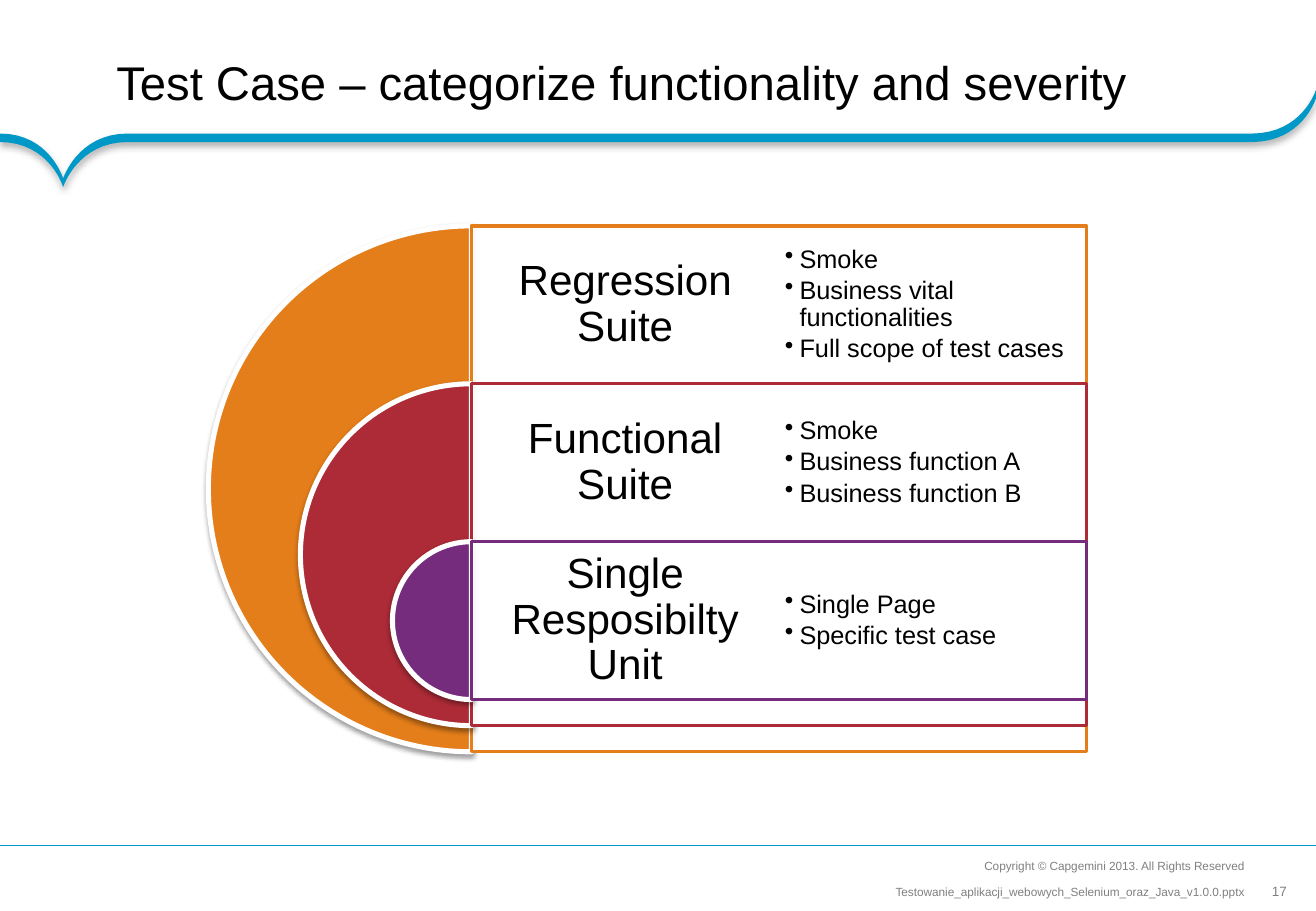
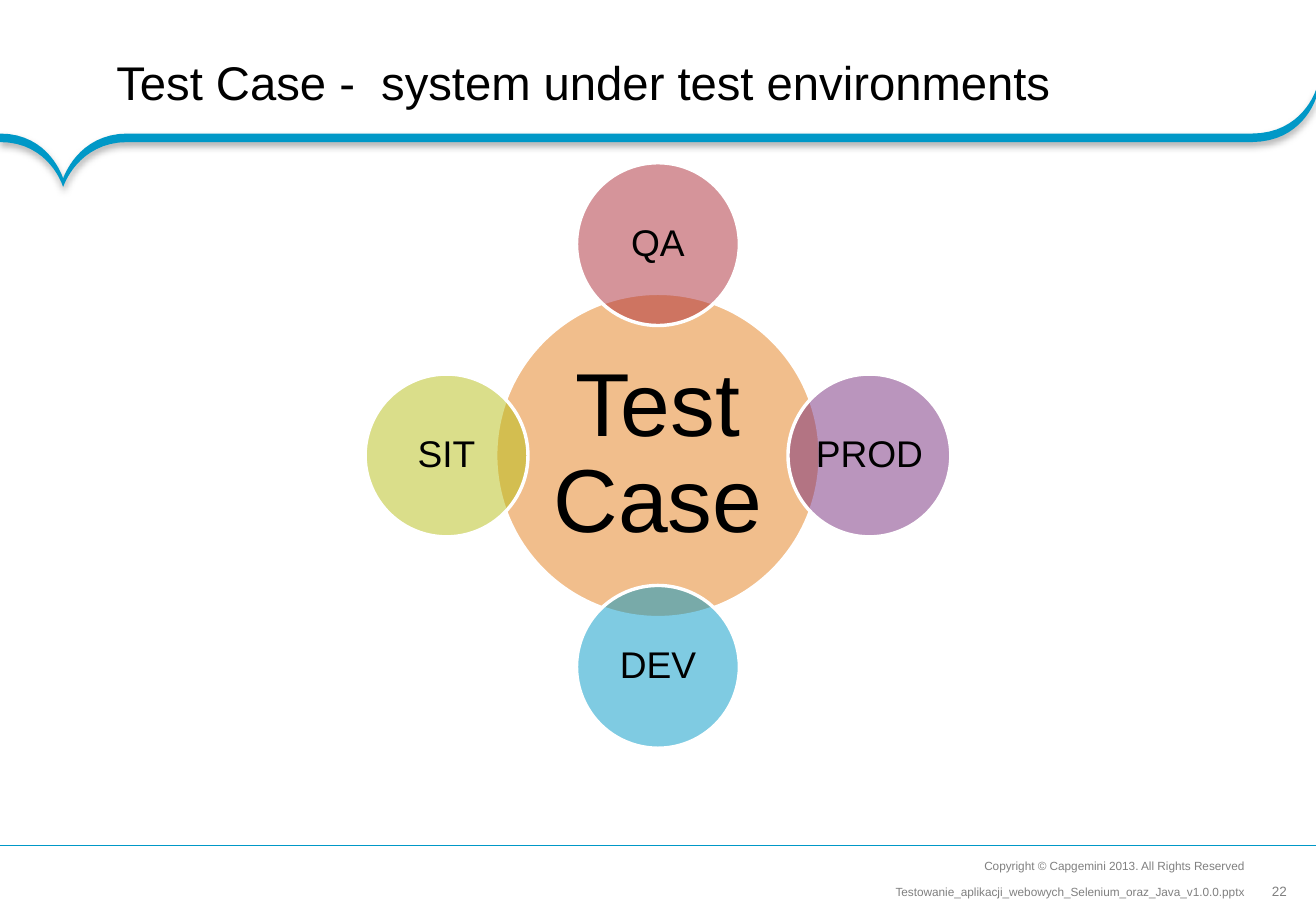
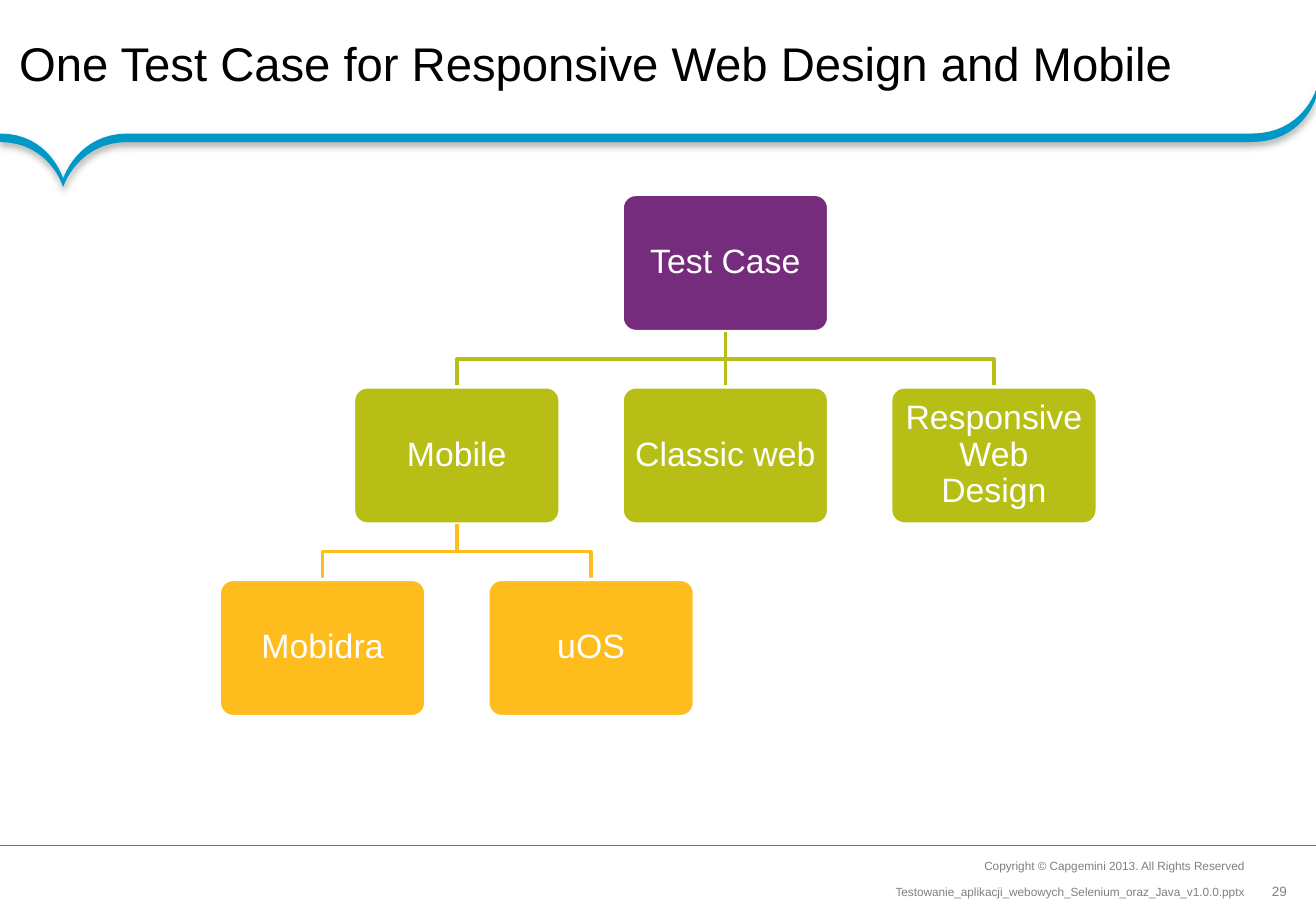
import lxml.etree
import pptx
import pptx.dml.color
import pptx.enum.shapes
import pptx.enum.text
import pptx.oxml.ns
import pptx.util

Inches, Pt = pptx.util.Inches, pptx.util.Pt
qn = pptx.oxml.ns.qn
SHAPE = pptx.enum.shapes.MSO_SHAPE
STRAIGHT = pptx.enum.shapes.MSO_CONNECTOR.STRAIGHT
ALIGN, ANCHOR = pptx.enum.text.PP_ALIGN, pptx.enum.text.MSO_ANCHOR
rgb = pptx.dml.color.RGBColor.from_string

BLUE, ORANGE, RED, PURPLE = "0098C7", "E47E1A", "AC2B37", "762C7C"
GREEN, YELLOW, WHITE, BLACK, GREY = "B7BE16", "FFBC1D", "FFFFFF", "000000", "808080"


def paint(shape, fill=None, line=None, width=2, opacity=100, shadow=None):
    """Set fill, line and shadow; shadow is (opacity %, blur pt, distance pt)."""
    properties = shape._element.spPr
    if fill:
        shape.fill.solid()
        shape.fill.fore_color.rgb = rgb(fill)
        if opacity < 100:
            colour = properties.find(qn("a:solidFill"))[0]
            lxml.etree.SubElement(colour, qn("a:alpha"), val=str(opacity * 1000))
    if line:
        shape.line.color.rgb = rgb(line)
        shape.line.width = Pt(width)
    else:
        shape.line.fill.background()
    effects = lxml.etree.SubElement(properties, qn("a:effectLst"))
    if shadow:
        strength, blur, distance = shadow
        outer = lxml.etree.SubElement(
            effects, qn("a:outerShdw"), blurRad=str(Pt(blur)),
            dist=str(Pt(distance)), dir="5400000", rotWithShape="0")
        colour = lxml.etree.SubElement(outer, qn("a:srgbClr"), val=BLACK)
        lxml.etree.SubElement(colour, qn("a:alpha"), val=str(strength * 1000))


def write(shape, lines, size, colour=BLACK, align=ALIGN.CENTER,
          anchor=ANCHOR.MIDDLE, inset=0.1, bullets=False, wrap=True):
    frame = shape.text_frame
    frame.word_wrap = wrap
    frame.vertical_anchor = anchor
    frame.margin_left = frame.margin_right = Inches(inset)
    frame.margin_top = frame.margin_bottom = Inches(inset)
    for number, line in enumerate(lines):
        paragraph = frame.add_paragraph() if number else frame.paragraphs[0]
        paragraph.text = line
        paragraph.alignment = align
        paragraph.line_spacing = 0.9
        if bullets:
            paragraph.space_after = Pt(2.25)
            layout = paragraph._p.get_or_add_pPr()
            layout.set("marL", str(Inches(0.12)))
            layout.set("indent", str(-Inches(0.12)))
            lxml.etree.SubElement(layout, qn("a:buChar"), char="•")
        paragraph.font.name = "Arial"
        paragraph.font.size = Pt(size)
        paragraph.font.color.rgb = rgb(colour)


deck = pptx.Presentation()
deck.slide_width, deck.slide_height = Inches(10.83), Inches(7.5)

# Upper edge of the title band, sampled from three cubic curves
band_curves = [
    [(0, 1.1), (0.41, 1.1), (0.52, 1.47), (0.52, 1.47)],
    [(0.52, 1.47), (0.52, 1.47), (0.64, 1.1), (1.05, 1.1)],
    [(10.3, 1.1), (10.72, 1.1), (10.83, 0.74), (10.83, 0.74)],
]
STEPS = 16
upper_edge = []
for curve in band_curves:
    for step in range(STEPS + 1):
        t = step / STEPS
        weights = [(1 - t) ** 3, 3 * t * (1 - t) ** 2, 3 * t ** 2 * (1 - t), t ** 3]
        upper_edge.append([sum(w * point[axis] for w, point in zip(weights, curve))
                           for axis in (0, 1)])
lower_edge = [(x, y + 0.07) for x, y in reversed(upper_edge)]
band_outline = [(Inches(x), Inches(y)) for x, y in upper_edge + lower_edge]

# Title, band and footer of every slide
headings = [
    ("Test Case – categorize functionality and severity", 0.86, 0.44, "17"),
    ("Test Case -  system under test environments", 0.86, 0.44, "22"),
    ("One Test Case for Responsive Web Design and Mobile", 0.06, 0.28, "29"),
]
footers = [
    ("Copyright © Capgemini 2013. All Rights Reserved", 7.03),
    ("Testowanie_aplikacji_webowych_Selenium_oraz_Java_v1.0.0.pptx", 7.24),
]
slides = []
for title, left, top, page in headings:
    slide = deck.slides.add_slide(deck.slide_layouts[6])
    slides.append(slide)
    pen = slide.shapes.build_freeform(*band_outline[0], scale=1.0)
    pen.add_line_segments(band_outline[1:], close=True)
    paint(pen.convert_to_shape(), BLUE, shadow=(31, 4, 2))
    footer_rule = slide.shapes.add_connector(
        STRAIGHT, 0, Inches(6.96), deck.slide_width, Inches(6.96))
    paint(footer_rule, line=BLUE, width=0.75)
    for footer, footer_top in footers:
        box = slide.shapes.add_textbox(
            Inches(7.28), Inches(footer_top), Inches(3), Inches(0.2))
        write(box, [footer], 7, GREY, ALIGN.RIGHT, ANCHOR.BOTTOM, inset=0.04)
    page_box = slide.shapes.add_textbox(
        Inches(10.46), Inches(7.28), Inches(0.14), Inches(0.13))
    write(page_box, [page], 8, GREY, inset=0, wrap=False)
    title_box = slide.shapes.add_textbox(
        Inches(left), Inches(top), Inches(9.9), Inches(0.53))
    write(title_box, [title], 28, align=ALIGN.LEFT)

suite_slide, environment_slide, platform_slide = slides

# Slide 1: nested test suites
suites = [
    ("Regression Suite", ORANGE,
     ["Smoke", "Business vital functionalities", "Full scope of test cases"]),
    ("Functional Suite", RED, ["Smoke", "Business function A", "Business function B"]),
    ("Single Resposibilty Unit", PURPLE, ["Single Page", "Specific test case"]),
]
SUITE_LEFT, ROW = 3.88, 1.3
for level, (suite, colour, scope) in enumerate(suites):
    top = Inches(1.86 + level * ROW)
    size = 4.33 - level * 1.515
    arc = suite_slide.shapes.add_shape(
        SHAPE.PIE, Inches(SUITE_LEFT - size / 2), top, Inches(size), Inches(size))
    arc.adjustments[0], arc.adjustments[1] = 54, 162
    paint(arc, colour, WHITE, 3, shadow=(38, 3.1, 1.6))
    panel = suite_slide.shapes.add_shape(
        SHAPE.RECTANGLE, Inches(SUITE_LEFT), top, Inches(5.06), Inches(size))
    paint(panel, WHITE, colour, opacity=90)
    suite_box = suite_slide.shapes.add_textbox(
        Inches(SUITE_LEFT), top, Inches(2.53), Inches(ROW))
    write(suite_box, [suite], 25)
    scope_box = suite_slide.shapes.add_textbox(
        Inches(6.4), top, Inches(2.54), Inches(ROW))
    write(scope_box, scope, 15, align=ALIGN.LEFT, inset=0.06, bullets=True)

# Slide 2: environments around the test case
CENTRE_X, CENTRE_Y, ORBIT = 5.415, 3.75, 1.74
circles = [
    ("Test Case", ORANGE, 0, 0, 2.67, 53),
    ("QA", RED, 0, -1, 1.34, 22),
    ("PROD", PURPLE, 1, 0, 1.34, 22),
    ("DEV", BLUE, 0, 1, 1.34, 22),
    ("SIT", GREEN, -1, 0, 1.34, 22),
]
for label, colour, across, down, size, font_size in circles:
    circle = environment_slide.shapes.add_shape(
        SHAPE.OVAL, Inches(CENTRE_X + across * ORBIT - size / 2),
        Inches(CENTRE_Y + down * ORBIT - size / 2), Inches(size), Inches(size))
    paint(circle, colour, WHITE, opacity=50)
    write(circle, [label], font_size, inset=0.02)

# Slide 3: platform tree, as label, colour, column, row, parent column
platforms = [
    ("Test Case", PURPLE, 0, 0, None),
    ("Mobile", GREEN, -1, 1, 0),
    ("Classic web", GREEN, 0, 1, 0),
    ("Responsive Web Design", GREEN, 1, 1, 0),
    ("Mobidra", YELLOW, -1.5, 2, -1),
    ("uOS", YELLOW, -0.5, 2, -1),
]
NODE_WIDTH, NODE_HEIGHT, GAP = 1.7, 1.13, 0.455
for label, colour, column, row, parent in platforms:
    x = 5.97 + column * 2.21
    top = 1.6 + row * (NODE_HEIGHT + GAP)
    if parent is not None:
        parent_x = Inches(5.97 + parent * 2.21)
        start, middle, end = Inches(top - GAP), Inches(top - GAP / 2), Inches(top)
        if parent == column:
            link = platform_slide.shapes.add_connector(
                STRAIGHT, parent_x, start, parent_x, end)
        else:
            pen = platform_slide.shapes.build_freeform(parent_x, start, scale=1.0)
            pen.add_line_segments(
                [(parent_x, middle), (Inches(x), middle), (Inches(x), end)], close=False)
            link = pen.convert_to_shape()
            link.fill.background()
        paint(link, line=colour)
    node = platform_slide.shapes.add_shape(
        SHAPE.ROUNDED_RECTANGLE, Inches(x - NODE_WIDTH / 2), Inches(top),
        Inches(NODE_WIDTH), Inches(NODE_HEIGHT))
    node.adjustments[0] = 0.1
    paint(node, colour, WHITE)
    write(node, [label], 20, WHITE, inset=0.07)

deck.save("out.pptx")
